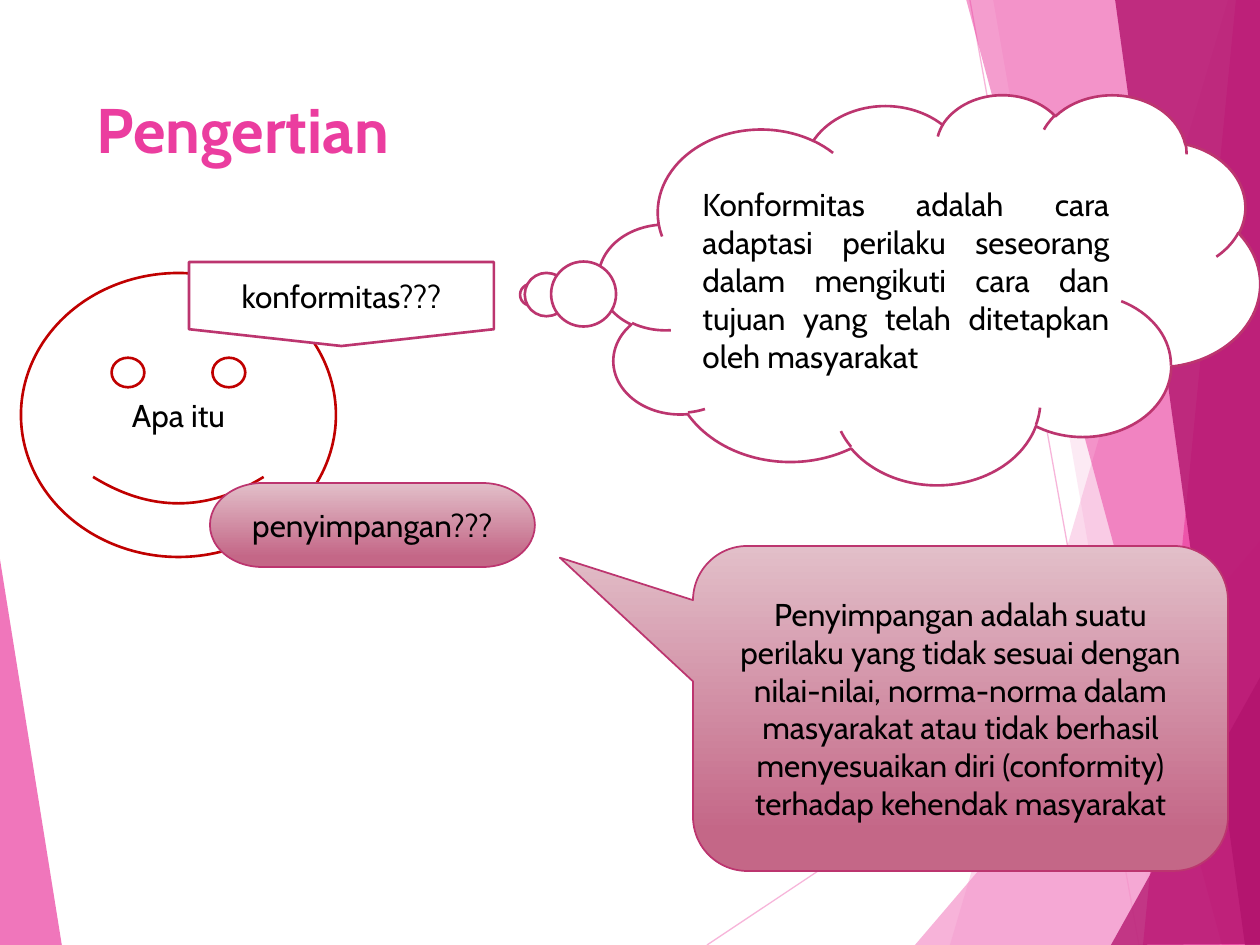
from lxml.etree import SubElement
from pptx import Presentation
from pptx.dml.color import RGBColor
from pptx.enum.shapes import MSO_CONNECTOR, MSO_SHAPE as Shape
from pptx.enum.text import MSO_ANCHOR as Anchor, MSO_AUTO_SIZE as Fit, PP_ALIGN as Align
from pptx.oxml.ns import qn
from pptx.util import Pt

W, H = 1260, 945
PX = 914400 / 126
COLORS = {
    "white": "FFFFFF", "black": "000000", "red": "C00000", "light": "F496CB",
    "pink": "EB3D9F", "deep": "B2136D", "edge": "BC356F",
    "grad_top": "E2BFC9", "grad_end": "C46787",
}
GRADIENT = ((0, "grad_top"), (0.88, "grad_end"))
BODY = {"name": "Cabin", "size": Pt(18), "bold": False}
TITLE = {"name": "Cabin", "size": Pt(36), "bold": True}
RAYS = [((707, 945), (1261, 576)), ((970, 0), (1139, 945))]
PANELS = [
    ("light", 36, [(1228, 0), (950, 945), (1262, 946), (1261, 1)]),
    ("light", 20, [(993, -1), (1158, 945), (1261, 945), (1261, -1)]),
    ("light", 72, [(915, 945), (1260, 541), (1261, 945)]),
    ("pink", 50, [(966, -1), (1222, 945), (1261, 944), (1261, -1)]),
    ("pink", 66, [(1236, -1), (1143, 945), (1261, 945), (1260, -1)]),
    ("deep", 80, [(1115, -1), (1245, 945), (1262, 945), (1260, -1)]),
    ("deep", 76, [(1111, 945), (1262, 674), (1262, 944)]),
    ("pink", 70, [(-1, 553), (62, 946), (-1, 945)]),
]


def emu(*values):
    """Turn px lengths into EMU."""
    return [round(v * PX) for v in values]


def rgb(name):
    """Look up a named colour."""
    return RGBColor.from_string(COLORS[name])


def set_alpha(sp, percent):
    """Set the opacity of the first solid colour in a shape."""
    clr = next(sp.element.spPr.iter(qn("a:srgbClr")))
    SubElement(clr, qn("a:alpha"), val=str(percent * 1000))


def set_font(font, values, color):
    """Apply format values and a colour to a font."""
    for key, value in values.items():
        setattr(font, key, value)
    font.color.rgb = rgb(color)


def add_ray(s, start, end):
    """Draw a thin translucent decorative line."""
    ray = s.shapes.add_connector(MSO_CONNECTOR.STRAIGHT, *emu(*start, *end))
    ray.line.color.rgb = rgb("light")
    ray.line.width = Pt(0.75)
    set_alpha(ray, 70)
    SubElement(ray.element.spPr, qn("a:effectLst"))


def add_panel(s, color, alpha, points):
    """Draw a translucent decorative polygon."""
    builder = s.shapes.build_freeform(*points[0], scale=PX)
    builder.add_line_segments(points[1:], close=True)
    sp = builder.convert_to_shape()
    sp.shadow.inherit = False
    sp.fill.solid()
    sp.fill.fore_color.rgb = rgb(color)
    sp.line.fill.background()
    set_alpha(sp, alpha)


def set_title(s, text, box):
    """Place the title placeholder in front of the decoration."""
    sp = s.shapes.title
    sp.element.getparent().append(sp.element)
    sp.left, sp.top, sp.width, sp.height = emu(*box)
    tf = sp.text_frame
    tf.text = text
    tf.auto_size, tf.vertical_anchor = Fit.NONE, Anchor.TOP
    p = tf.paragraphs[0]
    p.alignment = Align.LEFT
    set_font(p.runs[0].font, TITLE, "pink")


def set_fill(fill, kind):
    """Fill with nothing, the vertical gradient or a named colour."""
    if kind is None:
        fill.background()
    elif kind == "gradient":
        fill.gradient()
        fill.gradient_angle = 270
        for stop, (position, color) in zip(fill.gradient_stops, GRADIENT):
            stop.position = position
            stop.color.rgb = rgb(color)
    else:
        fill.solid()
        fill.fore_color.rgb = rgb(kind)


def add_bubble(s, kind, box, text, fill, line="edge", width=1.5, align=Align.CENTER, adj=()):
    """Add an outlined preset shape holding one paragraph."""
    sp = s.shapes.add_shape(kind, *emu(*box))
    sp.shadow.inherit = False
    for i, value in enumerate(adj):
        sp.adjustments[i] = value
    set_fill(sp.fill, fill)
    sp.line.color.rgb = rgb(line)
    sp.line.width = Pt(width)
    tf = sp.text_frame
    tf.word_wrap, tf.vertical_anchor = True, Anchor.MIDDLE
    p = tf.paragraphs[0]
    p.alignment = align
    r = p.add_run()
    r.text = text
    set_font(r.font, BODY, "black")


def main():
    """Build and save the slide."""
    prs = Presentation()
    prs.slide_width, prs.slide_height = emu(W, H)
    s = prs.slides.add_slide(prs.slide_layouts[5])
    for ray in RAYS:
        add_ray(s, *ray)
    for panel in PANELS:
        add_panel(s, *panel)
    set_title(s, "Pengertian", (84, 84, 874, 175))
    add_bubble(s, Shape.SMILEY_FACE, (21, 273, 315, 284), "Apa itu", None, line="red")
    add_bubble(s, Shape.CLOUD_CALLOUT, (599, 94, 661, 390),
               "Konformitas adalah cara adaptasi perilaku seseorang dalam mengikuti "
               "cara dan tujuan yang telah ditetapkan oleh masyarakat",
               "white", align=Align.JUSTIFY, adj=(-0.603, 0.015))
    add_bubble(s, Shape.FLOWCHART_OFFPAGE_CONNECTOR, (189, 262, 305, 84),
               "konformitas???", "white")
    add_bubble(s, Shape.FLOWCHART_TERMINATOR, (210, 483, 325, 84),
               "penyimpangan???", "gradient", width=1)
    add_bubble(s, Shape.ROUNDED_RECTANGULAR_CALLOUT, (693, 546, 535, 325),
               "Penyimpangan adalah suatu perilaku yang tidak sesuai dengan nilai-nilai, "
               "norma-norma dalam masyarakat atau tidak berhasil menyesuaikan diri "
               "(conformity) terhadap kehendak masyarakat",
               "gradient", width=1, adj=(-0.749, -0.464, 0.167))
    prs.save("out.pptx")


if __name__ == "__main__":
    main()
